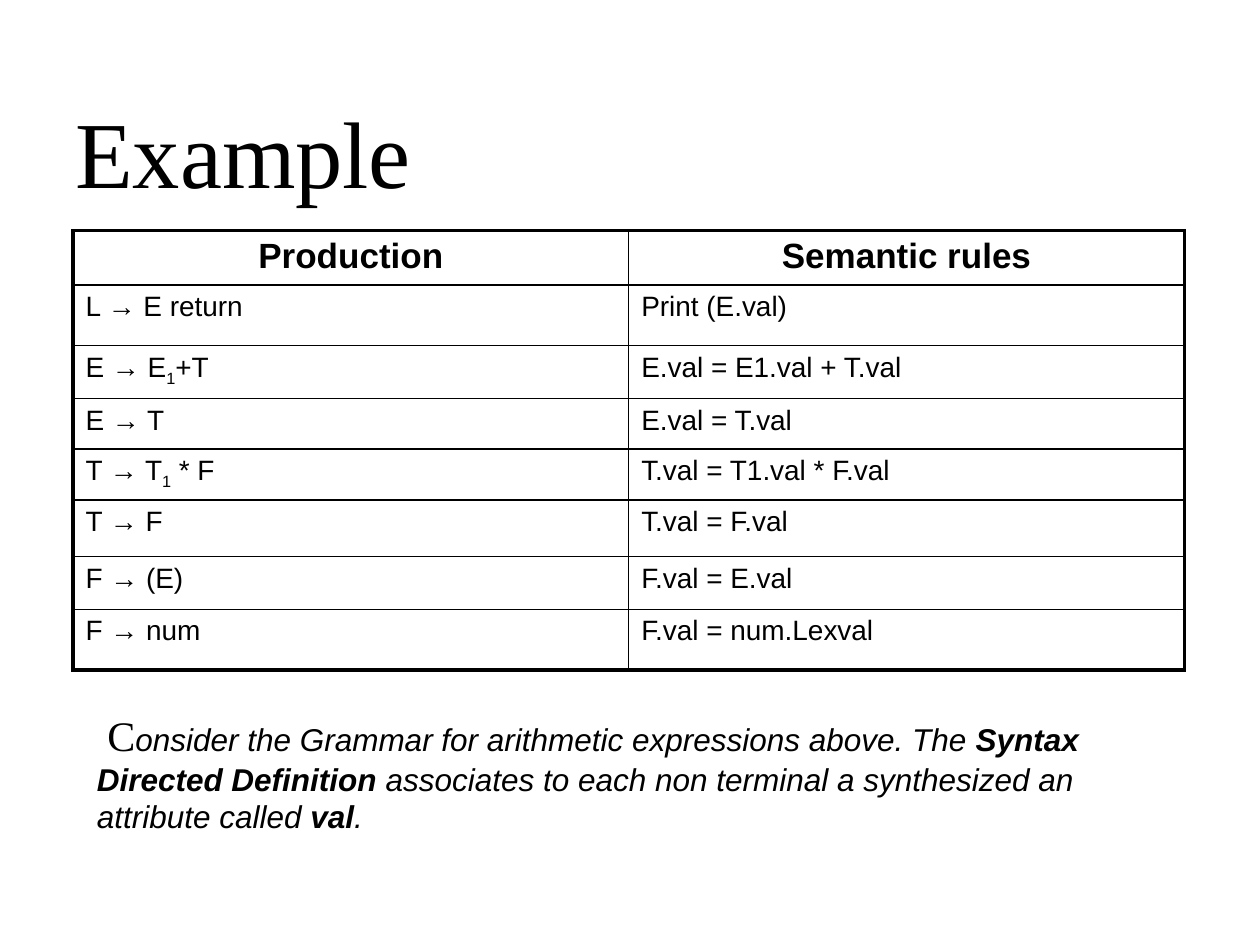
from lxml.etree import SubElement
from pptx import Presentation
from pptx.dml.color import RGBColor
from pptx.enum.text import MSO_ANCHOR, PP_ALIGN
from pptx.oxml.ns import qn
from pptx.util import Inches, Pt

INK = {"text": "000000", "line": "000000", "cell": "FFFFFF"}
SERIF, SANS = "Times New Roman", "Arial"

# Content: a list holds the parts of a cell, each second part is a subscript
HEAD = ("Production", "Semantic rules")
RULES = [
    (["L → E return"], "Print (E.val)"),
    (["E → E", "1", "+T"], "E.val = E1.val + T.val"),
    (["E → T"], "E.val = T.val"),
    (["T → T", "1", " * F"], "T.val = T1.val * F.val"),
    (["T → F"], "T.val = F.val"),
    (["F → (E)"], "F.val = E.val"),
    (["F → num"], "F.val = num.Lexval"),
]
ROWS = [0.43, 0.48, 0.42, 0.4, 0.39, 0.45, 0.42, 0.48]
COL = 4.41
THIN, THICK = 1, 2.25
# Text, bold
NOTE = [
    ("onsider the Grammar for arithmetic expressions above. The ", False),
    ("Syntax Directed Definition", True),
    (" associates to each non terminal a synthesized an attribute called ", False),
    ("val", True),
    (".", False),
]


def style(font, name, size, bold=False, italic=False):
    font.name, font.size = name, Pt(size)
    font.bold, font.italic = bold, italic
    font.color.rgb = RGBColor.from_string(INK["text"])


def add_box(slide, *place):
    frame = slide.shapes.add_textbox(*map(Inches, place)).text_frame
    frame.word_wrap = True
    return frame


def add_run(par, text):
    run = par.add_run()
    run.text = text
    return run


def edge(cell, side, width):
    line = SubElement(cell._tc.get_or_add_tcPr(), qn(f"a:ln{side}"), w=str(Pt(width)))
    fill = SubElement(line, qn("a:solidFill"))
    SubElement(fill, qn("a:srgbClr"), val=INK["line"])


deck = Presentation()
deck.slide_width, deck.slide_height = Inches(10), Inches(7.5)
slide = deck.slides.add_slide(deck.slide_layouts[6])

# Title
frame = add_box(slide, 0.5, 0.5, 9, 1.5)
frame.vertical_anchor = MSO_ANCHOR.MIDDLE
par = frame.paragraphs[0]
par.text = "Example"
par.line_spacing = 0.9
style(par.font, SERIF, 54)

# Table of rules
data = [HEAD, *RULES]
table = slide.shapes.add_table(
    len(data), 2, Inches(0.58), Inches(1.83), Inches(2 * COL), Inches(sum(ROWS))
).table
for col in table.columns:
    col.width = Inches(COL)
for r, (pair, high) in enumerate(zip(data, ROWS)):
    table.rows[r].height = Inches(high)
    for c, parts in enumerate(pair):
        cell = table.cell(r, c)
        par = cell.text_frame.paragraphs[0]
        for i, part in enumerate([parts] if isinstance(parts, str) else parts):
            run = add_run(par, part)
            if i % 2:
                run.font._element.set("baseline", "-25000")
        style(par.font, SANS, 16 if r else 20, bold=r == 0)
        if r == 0:
            par.alignment = PP_ALIGN.CENTER
        outer = {"L": c == 0, "R": c == 1, "T": r == 0, "B": r == len(data) - 1}
        for side, thick in outer.items():
            edge(cell, side, THICK if thick else THIN)
        cell.fill.solid()
        cell.fill.fore_color.rgb = RGBColor.from_string(INK["cell"])

# Note with a large first letter
par = add_box(slide, 0.67, 5.58, 8.25, 1.1).paragraphs[0]
style(add_run(par, " C").font, SERIF, 24)
for text, bold in NOTE:
    style(add_run(par, text).font, SANS, 18, bold, italic=True)

deck.save("out.pptx")
